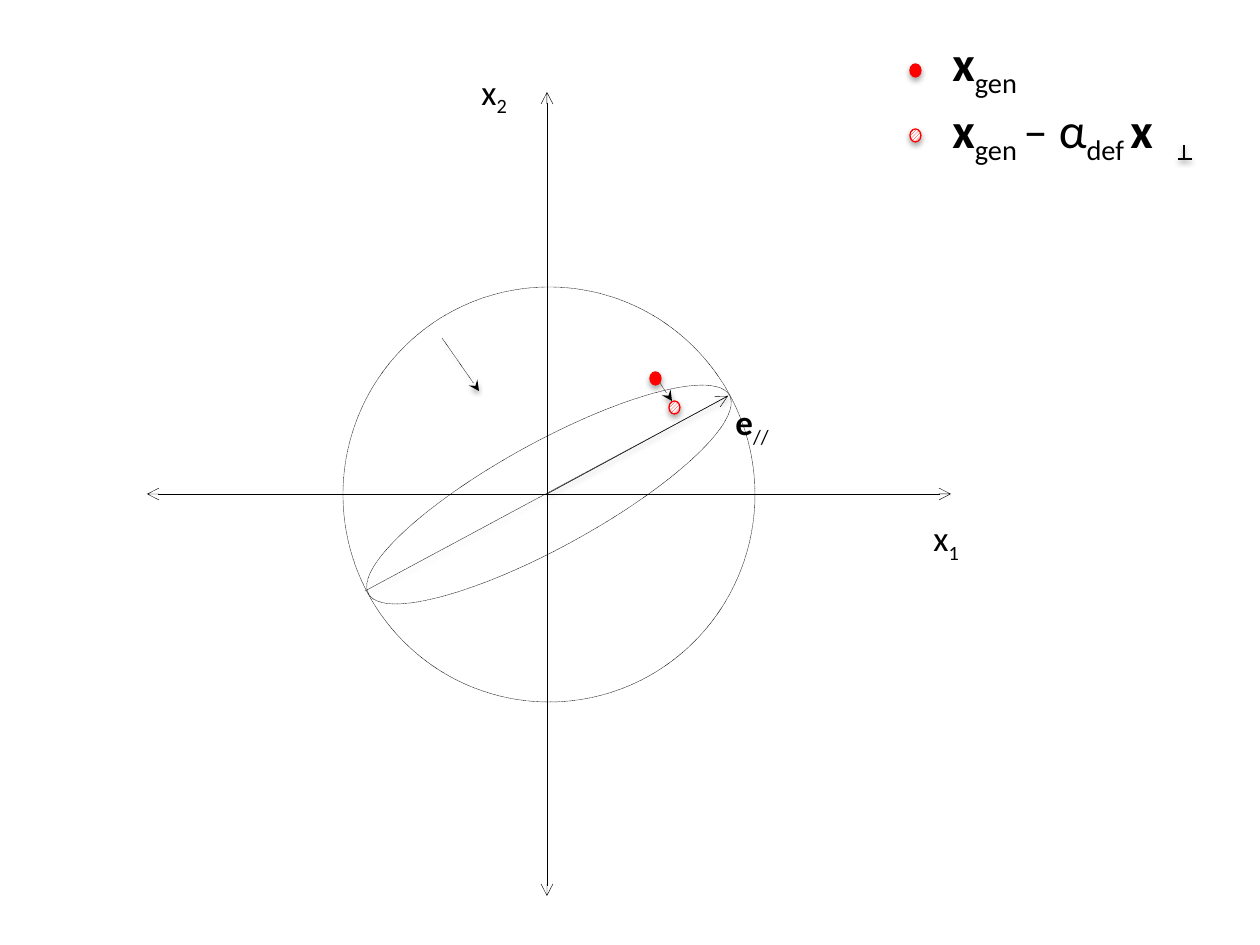
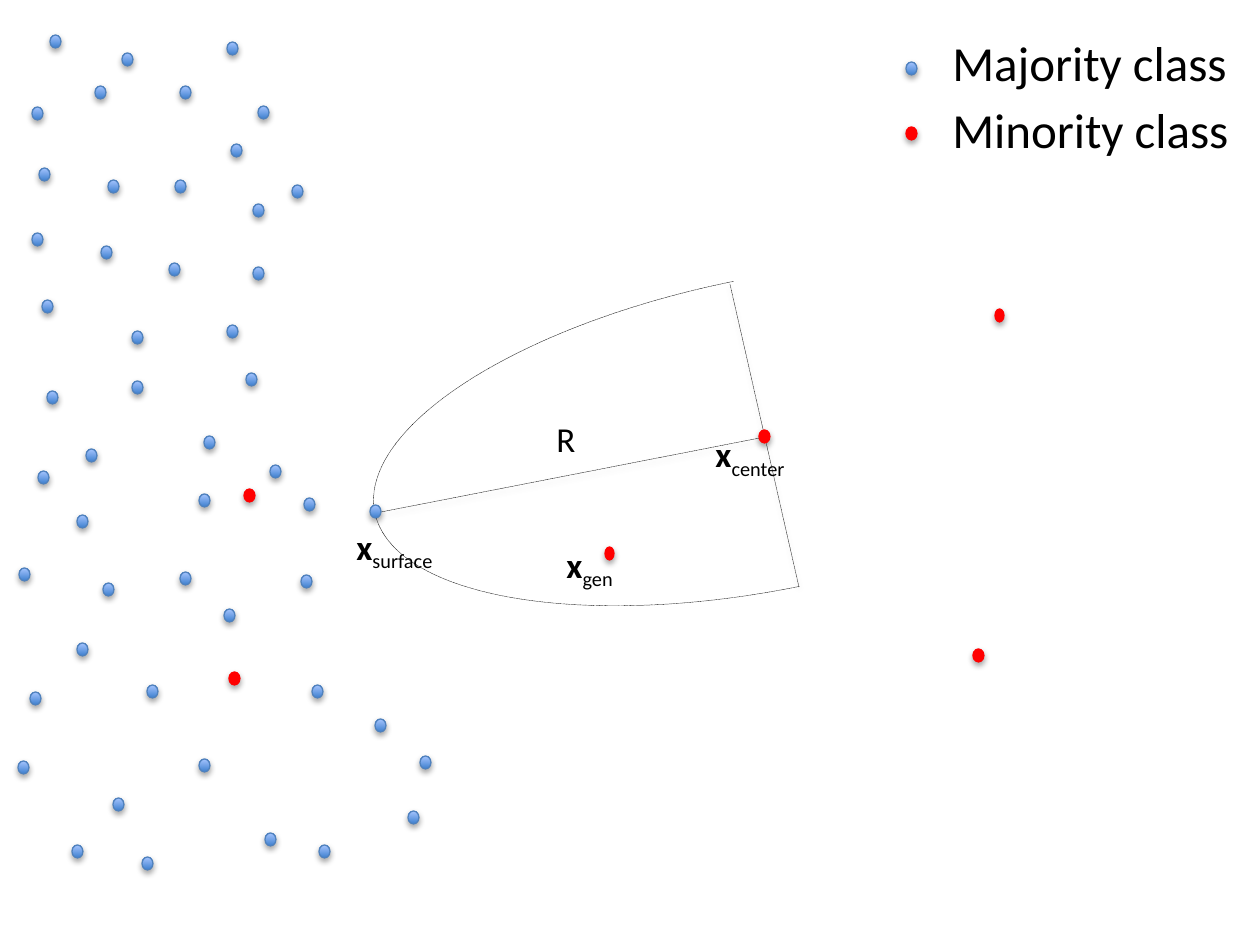
"""Build two diagrams: shaping a generated point, and sampling around a minority point."""
import pptx
import pptx.util
from pptx.dml.color import RGBColor
from pptx.enum.dml import MSO_LINE, MSO_PATTERN
from pptx.enum.shapes import MSO_CONNECTOR, MSO_SHAPE
from pptx.enum.text import MSO_AUTO_SIZE
from pptx.oxml import parse_xml
from pptx.oxml.ns import nsdecls, qn
from lxml import etree

PX = 914400 / 126
BLACK = RGBColor(0x00, 0x00, 0x00)
WHITE = RGBColor(0xFF, 0xFF, 0xFF)
RED = RGBColor(0xFF, 0x00, 0x00)
BLUE_LINE = RGBColor(0x4F, 0x81, 0xBD)
BLUE_DARK = RGBColor(0x3F, 0x80, 0xCE)
BLUE_LIGHT = RGBColor(0xA4, 0xC4, 0xFF)
FONT = "Calibri"
SHADOW = (
    '<a:outerShdw %s blurRad="40000" dist="%d" dir="5400000" rotWithShape="0">'
    '<a:srgbClr val="000000"><a:alpha val="%d"/></a:srgbClr></a:outerShdw>'
)


def add_dot(shapes, x, y, style, w=11):
    sp = shapes.add_shape(MSO_SHAPE.OVAL, *[round(v * PX) for v in (x, y, w, 13)])
    if style == "majority":
        sp.fill.gradient()
        sp.fill.gradient_angle = 90
        for stop, color in zip(sp.fill.gradient_stops, (BLUE_DARK, BLUE_LIGHT)):
            stop.color.rgb = color
    elif style == "hatched":
        sp.fill.patterned()
        sp.fill.pattern = MSO_PATTERN.DARK_UPWARD_DIAGONAL
        sp.fill.fore_color.rgb = RED
        sp.fill.back_color.rgb = WHITE
    else:
        sp.fill.solid()
        sp.fill.fore_color.rgb = RED
    sp.line.color.rgb = BLUE_LINE if style == "majority" else RED
    sp.line.width = pptx.util.Pt(0.75)
    effects = sp.element.spPr.get_or_add_effectLst()
    effects.append(parse_xml(SHADOW % (nsdecls("a"), 23000, 35000)))


def add_line(shapes, points, head=None, tail=None, dotted=True, shadow=True, width=0.25):
    c = shapes.add_connector(MSO_CONNECTOR.STRAIGHT, *[round(v * PX) for v in points])
    c.line.color.rgb = BLACK
    c.line.width = pptx.util.Pt(width)
    if dotted:
        c.line.dash_style = MSO_LINE.ROUND_DOT
    ln = c.element.spPr.find(qn("a:ln"))
    for tag, kind in (("a:headEnd", head), ("a:tailEnd", tail)):
        if kind:
            etree.SubElement(ln, qn(tag)).set("type", kind)
    effects = c.element.spPr.get_or_add_effectLst()
    if shadow:
        effects.append(parse_xml(SHADOW % (nsdecls("a"), 20000, 38000)))


prs = pptx.Presentation()
prs.slide_width = pptx.util.Inches(10)
prs.slide_height = pptx.util.Inches(7.5)
shaping, sampling = [prs.slides.add_slide(prs.slide_layouts[6]).shapes for _ in range(2)]

outlines = [
    (shaping, MSO_SHAPE.OVAL, (343, 287, 412, 415), 0),
    (shaping, MSO_SHAPE.OVAL, (343, 442, 412, 105), 331.2),
    (sampling, MSO_SHAPE.OVAL, (367, 278, 798, 312), 348.7),
    (sampling, MSO_SHAPE.RECTANGLE, (759, 197, 411, 360), 347.8),
]
for shapes, kind, box, rotation in outlines:
    sp = shapes.add_shape(kind, *[round(v * PX) for v in box])
    sp.rotation = rotation
    sp.shadow.inherit = False
    sp.fill.solid()
    sp.fill.fore_color.rgb = WHITE
    if kind == MSO_SHAPE.RECTANGLE:
        sp.line.fill.background()
    else:
        sp.line.color.rgb = BLACK
        sp.line.width = pptx.util.Pt(0.25)
        sp.line.dash_style = MSO_LINE.ROUND_DOT

for axis in ((147, 494, 951, 494), (547, 92, 547, 896)):
    add_line(shaping, axis, head="arrow", tail="arrow", shadow=False)
add_line(shaping, (365, 591, 728, 396))
add_line(shaping, (547, 494, 728, 396), tail="arrow", dotted=False)
for step in ((660, 383, 672, 401), (442, 338, 479, 391)):
    add_line(shaping, step, tail="stealth")
add_dot(shaping, 669, 401, "hatched")
add_dot(shaping, 650, 372, "minority")

shaping_key = shaping.add_group_shape().shapes
add_dot(shaping_key, 910, 64, "minority")
add_dot(shaping_key, 910, 129, "hatched")
perpendicular = shaping.add_group_shape().shapes
for stroke in ((1178, 159, 1192, 159), (1184, 159, 1184, 145)):
    add_line(perpendicular, stroke, dotted=False, width=1)

for radius in ((381, 512, 770, 436), (730, 284, 799, 587)):
    add_line(sampling, radius)

majority = [
    (50, 35), (122, 53), (227, 42), (95, 86), (180, 86), (32, 107), (258, 106),
    (231, 144), (39, 168), (108, 180), (175, 180), (292, 185), (253, 204),
    (32, 233), (101, 246), (169, 263), (253, 267), (42, 300), (132, 331),
    (227, 325), (132, 381), (246, 373), (47, 391), (204, 436), (86, 449),
    (38, 471), (270, 465), (199, 494), (304, 498), (77, 515), (370, 505),
    (19, 568), (103, 583), (180, 572), (301, 575), (224, 609), (77, 643),
    (30, 692), (147, 685), (312, 685), (375, 719), (18, 761), (199, 759),
    (420, 756), (113, 798), (408, 811), (72, 845), (142, 857), (265, 833),
    (319, 845),
]
for x, y in majority:
    add_dot(sampling, x, y, "majority")
minority = [
    (973, 649, 11), (759, 430, 11), (229, 672, 11), (244, 489, 11),
    (995, 309, 9), (605, 547, 9),
]
for x, y, w in minority:
    add_dot(sampling, x, y, "minority", w)

sampling_key = sampling.add_group_shape().shapes
add_dot(sampling_key, 906, 62, "majority")
add_dot(sampling_key, 906, 127, "minority")

labels = [
    (shaping, (723, 394, 67, 55), 20, [("e", "bold"), ("//", "sub")]),
    (shaping, (921, 510, 78, 55), 20, [("x", ""), ("1", "sub")]),
    (shaping, (469, 64, 78, 55), 20, [("x", ""), ("2", "sub")]),
    (shaping_key, (940, 26, 97, 131), 28, [("x", "bold"), ("gen", "sub")]),
    (shaping_key, (940, 93, 252, 131), 28,
     [("x", "bold"), ("gen ", "sub"), ("– α", ""), ("def ", "sub"), ("x", "bold")]),
    (sampling, (544, 411, 49, 55), 20, [("R", "")]),
    (sampling, (703, 426, 132, 55), 20, [("x", "bold"), ("center", "sub")]),
    (sampling, (554, 537, 243, 77), 20, [("x", "bold"), ("gen", "sub")]),
    (sampling, (344, 519, 140, 77), 20, [("x", "bold"), ("surface", "sub")]),
    (sampling_key, (940, 26, 302, 72), 28, [("Majority class", "")]),
    (sampling_key, (940, 93, 305, 72), 28, [("Minority class", "")]),
]
for shapes, box, size, runs in labels:
    tf = shapes.add_textbox(*[round(v * PX) for v in box]).text_frame
    tf.word_wrap = size == 20
    tf.auto_size = MSO_AUTO_SIZE.SHAPE_TO_FIT_TEXT
    p = tf.paragraphs[0]
    for text, style in runs:
        r = p.add_run()
        r.text = text
        r.font.name = FONT
        r.font.size = pptx.util.Pt(size)
        r.font.bold = style == "bold"
        r.font.color.rgb = BLACK
        if style == "sub":
            r.font._element.set("baseline", "-25000")

prs.save("out.pptx")
